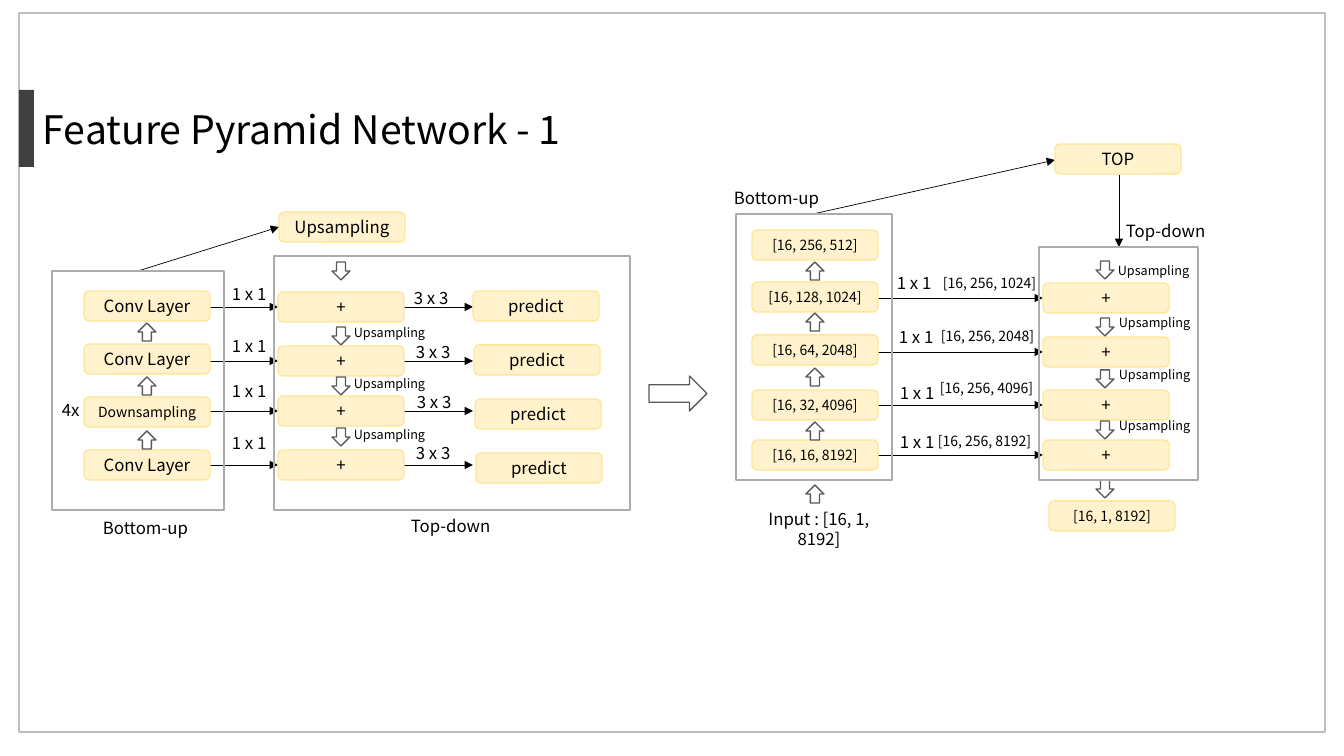
import pptx
import pptx.util
import pptx.dml.color
import pptx.enum.shapes
import pptx.enum.text
import pptx.oxml
import pptx.oxml.ns

KIND = pptx.enum.shapes.MSO_SHAPE
MID = pptx.enum.text.PP_ALIGN.CENTER
SCALE = 9071.43  # EMU in one pixel

THEME = {
    "font": "Noto Sans CJK KR", "text": "000000",
    "box": {"fill": "FFF2CC", "line": "FFE699"},
    "block": {"line": "595959"},
    "frame": {"line": "AFABAB"},
    "page": {"line": "BFBFBF"},
    "bar": {"fill": "404040"},
    "title": 28, "body": 12, "small": 10, "tiny": 9, "thin": 0.5, "edge": 1,
}
BODY, SMALL, TINY = THEME["body"], THEME["small"], THEME["tiny"]
BOX_W, BOX_H = 126, 30
UP, DOWN = 270, 90

# Columns of boxes: left, step to the right, tops, labels, type size
CONV = (84, 0, (291, 344, 450), ["Conv Layer"] * 3, BODY)
HALVE = (84, 0, (397,), ["Downsampling"], SMALL)
MERGE = (278, 0, (292, 346, 396, 450), ["+"] * 4, BODY)
GUESS = (473, 1, (291, 345, 399, 453), ["predict"] * 4, BODY)
SIZES = (752, 0, (230, 282, 335, 390, 440),
         ["[16, 256, 512]", "[16, 128, 1024]", "[16, 64, 2048]",
          "[16, 32, 4096]", "[16, 16, 8192]"], SMALL)
JOIN = (1043, 0, (283, 337, 390, 440), ["+"] * 4, BODY)
LONE = [
    (279, 0, (212,), ["Upsampling"], BODY),
    (1055, 0, (144,), ["TOP"], BODY),
    (1049, 0, (501,), ["[16, 1, 8192]"], SMALL),
]
COLUMNS = [CONV, HALVE, MERGE, GUESS, SIZES, JOIN] + LONE

# Rows of straight arrows: start, end, column that gives the heights
ROWS = [(210, 278, MERGE), (404, 473, MERGE), (878, 1043, JOIN)]
SLANTS = [(138, 271, 279, 227), (813, 214, 1055, 160), (1119, 175, 1119, 247)]

# Small block arrows: left, tops, turn
BLOCKS = [
    (138, (323, 377, 431), UP),
    (332, (262, 327, 377, 428), DOWN),
    (806, (262, 313, 368, 422, 485), UP),
    (1096, (261, 318, 370, 421, 480), DOWN),
]

# Repeated notes: text, width, type size, spots
NOTES = [
    ("1 x 1", 89, BODY, [(222, 279), (222, 331), (222, 376), (222, 428),
                         (887, 268), (889, 322), (890, 378), (890, 427)]),
    ("3 x 3", 89, BODY, [(404, 283), (406, 337), (407, 387), (406, 438)]),
    ("Upsampling", 190, TINY, [(344, 320), (344, 371), (344, 422), (1108, 258),
                               (1109, 310), (1109, 362), (1109, 413)]),
    ("[16, 256, 1024]", 122, SMALL, [(933, 270)]),
    ("[16, 256, 2048]", 117, SMALL, [(931, 323)]),
    ("[16, 256, 4096]", 117, SMALL, [(930, 375)]),
    ("[16, 256, 8192]", 117, SMALL, [(928, 428)]),
    ("Bottom-up", 131, BODY, [(93, 513), (724, 183)]),
    ("Top-down", 131, BODY, [(401, 511), (1116, 216)]),
    ("4x", 53, BODY, [(52, 395)]),
    ("Feature Pyramid Network - 1", 832, THEME["title"], [(33, 100)]),
]
INPUT = ("Input : [16, 1, 8192]", 739, 504, 160)

FRAMES = [(52, 271, 172, 239), (274, 256, 356, 254),
          (736, 214, 156, 266), (1039, 247, 159, 233)]
PAGE = (19, 13, 1306, 719)
BAR = (19, 90, 15, 77)
NEXT = (649, 376, 58, 35)


def px(*nums):
    """Turn pixels into EMU."""
    return [pptx.util.Emu(round(n * SCALE)) for n in nums]


def tint(code):
    """Make a colour from its hex code."""
    return pptx.dml.color.RGBColor.from_string(code)


def assign(item, values):
    """Set each attribute in a dict of format values."""
    for name, value in values.items():
        setattr(item, name, value)


def write(shape, text, size, align=None):
    """Put one styled paragraph in a shape."""
    para = shape.text_frame.paragraphs[0]
    para.text = text
    if align is not None:
        para.alignment = align
    font = para.runs[0].font
    assign(font, {"name": THEME["font"], "size": pptx.util.Pt(size)})
    font.color.rgb = tint(THEME["text"])


def draw(kind, area, look, turn=0):
    """Add a preset shape with a look from the theme."""
    shape = slide.shapes.add_shape(kind, *px(*area))
    shape.shadow.inherit = False
    shape.rotation = turn
    for part, key in ((shape.fill, "fill"), (shape.line.fill, "line")):
        if key in THEME[look]:
            part.solid()
            part.fore_color.rgb = tint(THEME[look][key])
        else:
            part.background()
    if "line" in THEME[look]:
        shape.line.width = pptx.util.Pt(THEME["edge"])
    return shape


def note(text, x, y, wide, size, align=None):
    """Add a wrapped text box."""
    shape = slide.shapes.add_textbox(*px(x, y, wide, size * 2.5))
    shape.text_frame.word_wrap = True
    write(shape, text, size, align)


def link(*ends):
    """Add a thin line with an arrowhead at its end."""
    line = slide.shapes.add_connector(
        pptx.enum.shapes.MSO_CONNECTOR.STRAIGHT, *px(*ends))
    line.line.color.rgb = tint(THEME["text"])
    line.line.width = pptx.util.Pt(THEME["thin"])
    head = pptx.oxml.parse_xml(
        "<a:tailEnd %s type='triangle'/>" % pptx.oxml.ns.nsdecls("a"))
    line.line._get_or_add_ln().append(head)
    line._element.spPr.append(pptx.oxml.parse_xml(
        "<a:effectLst %s/>" % pptx.oxml.ns.nsdecls("a")))


deck = pptx.Presentation()
assign(deck, dict(zip(("slide_width", "slide_height"), px(1344, 756))))
slide = deck.slides.add_slide(deck.slide_layouts[6])

draw(KIND.RECTANGLE, PAGE, "page")
draw(KIND.RECTANGLE, BAR, "bar")
for start, end, column in ROWS:
    for top in column[2]:
        link(start, top + BOX_H / 2, end, top + BOX_H / 2)
for ends in SLANTS:
    link(*ends)
for left, step, tops, labels, size in COLUMNS:
    for i, (top, label) in enumerate(zip(tops, labels)):
        area = (left + i * step, top, BOX_W, BOX_H)
        box = draw(KIND.ROUNDED_RECTANGLE, area, "box")
        box.text_frame.vertical_anchor = pptx.enum.text.MSO_ANCHOR.MIDDLE
        write(box, label, size, MID)
draw(KIND.RIGHT_ARROW, NEXT, "block")
for left, tops, turn in BLOCKS:
    for top in tops:
        draw(KIND.RIGHT_ARROW, (left, top, 18, 18), "block", turn)
for area in FRAMES:
    draw(KIND.RECTANGLE, area, "frame")
for text, wide, size, spots in NOTES:
    for x, y in spots:
        note(text, x, y, wide, size)
note(*INPUT, BODY, MID)

deck.save("out.pptx")
